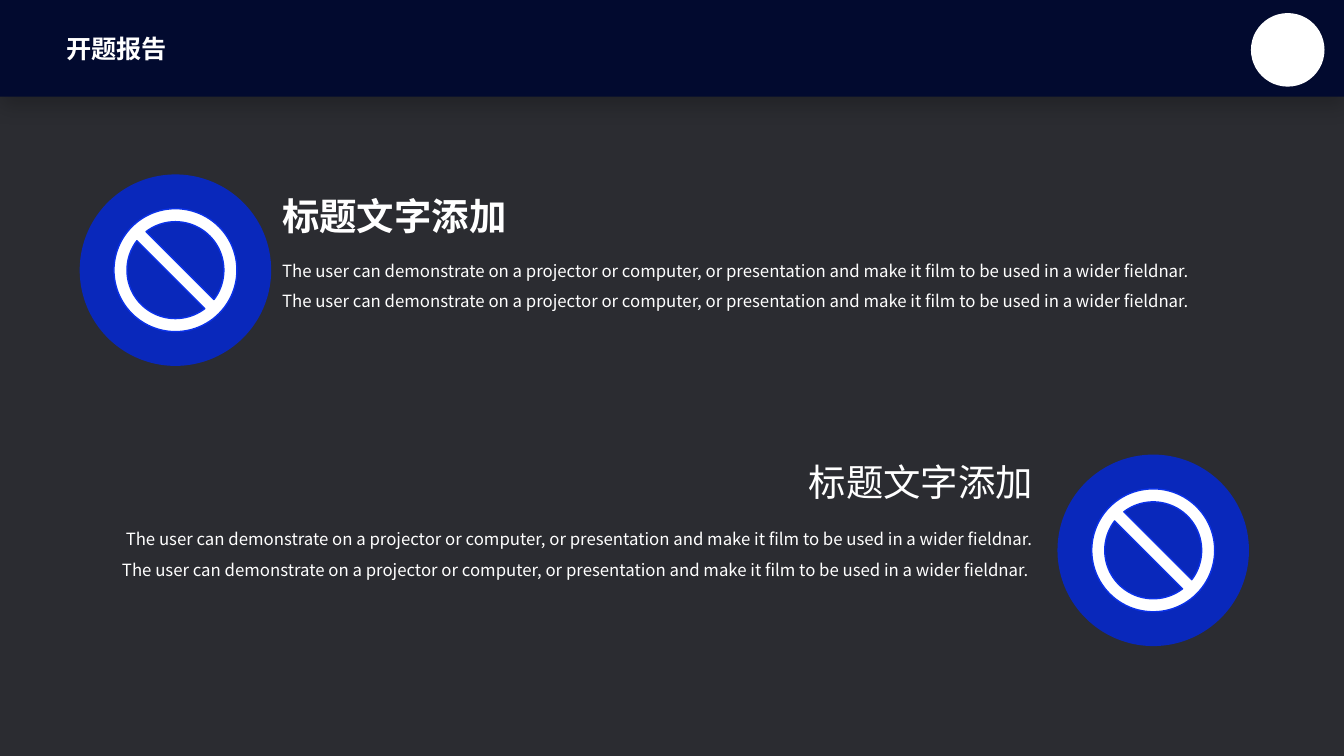
"""Build a dark slide with a header band and two mirrored topics, each with a sign on a disc."""
from dataclasses import dataclass

from lxml.etree import SubElement
from pptx import Presentation
from pptx.dml.color import RGBColor
from pptx.enum.shapes import MSO_SHAPE as Preset
from pptx.enum.text import MSO_AUTO_SIZE as AutoSize, PP_ALIGN as Align
from pptx.oxml import parse_xml
from pptx.oxml.ns import nsdecls, qn
from pptx.util import Inches, Pt


@dataclass(frozen=True)
class Theme:
    """Colours, type sizes and font of the slide."""
    backdrop: str = "2B2C31"
    band: str = "020A2F"
    disc: str = "0928BB"
    sign_edge: str = "0B32E8"
    white: str = "FFFFFF"
    shadow: str = "000000"
    font: str = "Noto Sans CJK SC"
    title: float = 18
    heading: float = 26.7
    body: float = 12


@dataclass(frozen=True)
class Area:
    """A rectangle in grid columns and rows."""
    left: float
    top: float
    width: float
    height: float


@dataclass(frozen=True)
class Topic:
    """One heading and body beside a disc."""
    disc_left: float
    disc_top: float
    text_left: float
    heading_top: float
    body_top: float
    body: str
    align: Align
    bold: bool


THEME = Theme()
WIDTH, HEIGHT = Inches(13.333), Inches(7.5)
COLUMN, ROW = WIDTH / 100, HEIGHT / 100
SQUARE = HEIGHT / WIDTH
DISC_ROWS, SIGN_ROWS, BADGE_ROWS = 25.33, 16.27, 9.73
BODY_COLUMNS, BODY_ROWS = 70.13, 12.93
HEADING_COLUMNS, HEADING_ROWS = 18.3, 7.33
SENTENCE = ("The user can demonstrate on a projector or computer, or presentation "
            "and make it film to be used in a wider fieldnar.")
TOPICS = (
    Topic(5.93, 23.07, 20.25, 24.93, 32.53, f"{SENTENCE} {SENTENCE}", Align.LEFT, True),
    Topic(78.68, 60.13, 7.5, 60.13, 68, f"{SENTENCE} {SENTENCE} ", Align.RIGHT, False),
)


def place(area: Area) -> tuple[int, int, int, int]:
    """Turn a grid area into slide lengths."""
    return (round(area.left * COLUMN), round(area.top * ROW),
            round(area.width * COLUMN), round(area.height * ROW))


def square(left: float, top: float, rows: float) -> Area:
    """Return an area as wide as it is high."""
    return Area(left, top, rows * SQUARE, rows)


def apply(target, formats: dict) -> None:
    """Set attributes from format values."""
    for name, value in formats.items():
        setattr(target, name, value)


def add_figure(page, preset: Preset, area: Area, fill: str):
    """Add a plain filled shape without a line."""
    shape = page.shapes.add_shape(preset, *place(area))
    shape.shadow.inherit = False
    shape.fill.solid()
    shape.fill.fore_color.rgb = RGBColor.from_string(fill)
    shape.line.fill.background()
    return shape


def add_text(page, area: Area, text: str, size: float, bold: bool = False,
             align: Align = Align.LEFT, wrap: bool = False, spacing: float = 1.0) -> None:
    """Add a one-paragraph text box."""
    box = page.shapes.add_textbox(*place(area))
    apply(box.text_frame, {"word_wrap": wrap, "auto_size": AutoSize.SHAPE_TO_FIT_TEXT})
    para = box.text_frame.paragraphs[0]
    apply(para, {"alignment": align, "line_spacing": spacing})
    span = para.add_run()
    span.text = text
    apply(span.font, {"size": Pt(size), "bold": bold, "name": THEME.font})
    span.font.color.rgb = RGBColor.from_string(THEME.white)
    SubElement(span.font._element, qn("a:ea"), typeface=THEME.font)


def add_header(page) -> None:
    """Add the shadowed band with its title and round badge."""
    band = add_figure(page, Preset.RECTANGLE, Area(0, 0, 100, 12.8), THEME.band)
    effects = band._element.spPr.find(qn("a:effectLst"))
    effects.append(parse_xml(
        f'<a:outerShdw {nsdecls("a")} blurRad="{Pt(14)}" dist="{Pt(6)}" dir="5400000" '
        f'algn="t" rotWithShape="0"><a:srgbClr val="{THEME.shadow}">'
        '<a:alpha val="20000"/></a:srgbClr></a:outerShdw>'))
    add_text(page, Area(4.2, 3.73, 9.08, 5.33), "开题报告", THEME.title, bold=True)
    add_figure(page, Preset.OVAL, square(93.08, 1.73, BADGE_ROWS), THEME.white)


def add_topic(page, topic: Topic) -> None:
    """Add a disc with its centred sign, a heading and a body."""
    add_figure(page, Preset.OVAL, square(topic.disc_left, topic.disc_top, DISC_ROWS), THEME.disc)
    inset = (DISC_ROWS - SIGN_ROWS) / 2
    sign_area = square(topic.disc_left + inset * SQUARE, topic.disc_top + inset, SIGN_ROWS)
    sign = add_figure(page, Preset.NO_SYMBOL, sign_area, THEME.white)
    sign.adjustments[0] = 0.106
    sign.line.color.rgb = RGBColor.from_string(THEME.sign_edge)
    sign.line.width = Pt(1)
    add_text(page, Area(topic.text_left, topic.body_top, BODY_COLUMNS, BODY_ROWS), topic.body,
             THEME.body, align=topic.align, wrap=True, spacing=1.5)
    shift = BODY_COLUMNS - HEADING_COLUMNS if topic.align == Align.RIGHT else 0
    heading_area = Area(topic.text_left + shift, topic.heading_top, HEADING_COLUMNS, HEADING_ROWS)
    add_text(page, heading_area, "标题文字添加", THEME.heading, topic.bold, topic.align)


def main() -> None:
    """Build and save the deck."""
    deck = Presentation()
    apply(deck, {"slide_width": WIDTH, "slide_height": HEIGHT})
    page = deck.slides.add_slide(deck.slide_layouts[6])
    page.background.fill.solid()
    page.background.fill.fore_color.rgb = RGBColor.from_string(THEME.backdrop)
    add_header(page)
    for topic in TOPICS:
        add_topic(page, topic)
    deck.save("out.pptx")


if __name__ == "__main__":
    main()
